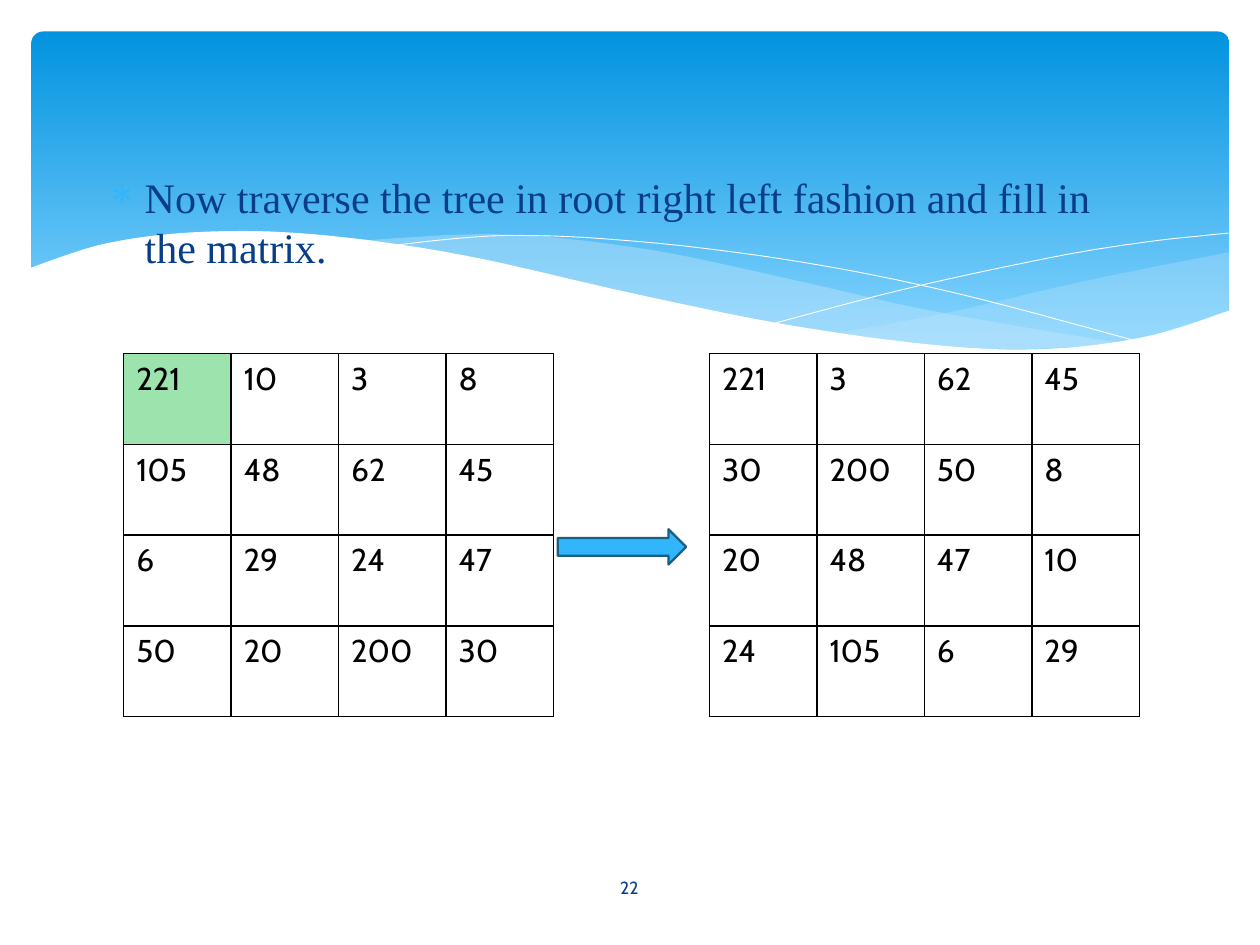
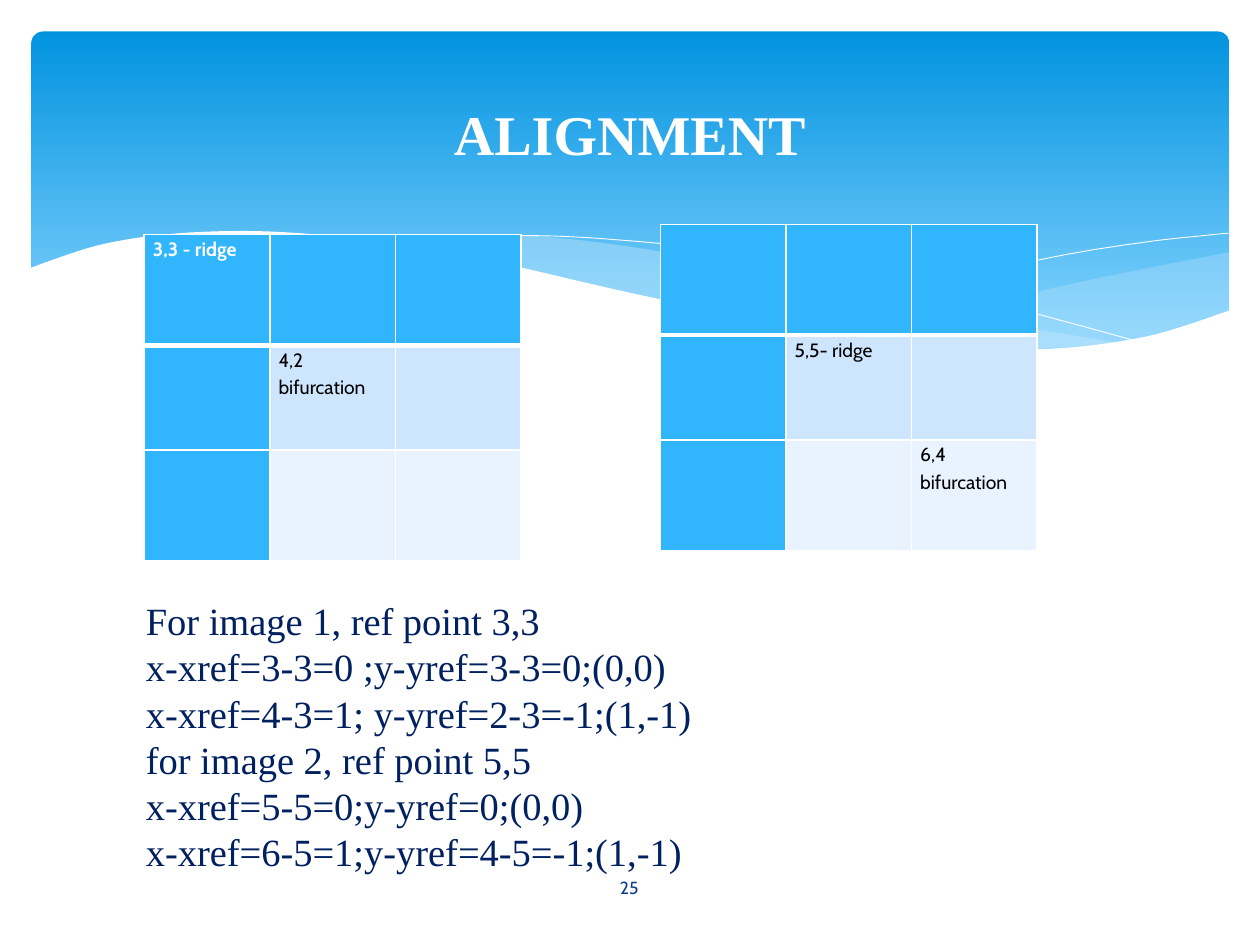
from lxml.etree import SubElement
from pptx import Presentation
from pptx.dml.color import RGBColor
from pptx.enum.shapes import MSO_SHAPE as Shape
from pptx.enum.text import MSO_ANCHOR as Anchor, PP_ALIGN as Align
from pptx.oxml import parse_xml
from pptx.oxml.ns import nsdecls, qn
from pptx.util import Pt

colour = RGBColor.from_string
WHITE, BLACK, SKY, NAVY, PALE = "FFFFFF", "000000", "31B6FD", "073E87", "C6E7FC"
SERIF, SANS = "Times New Roman", "Cabin"

# Waves: smooth strokes through key points (hundredths of an inch), fill, opacity
WAVE_UNIT = Pt(0.72)
STEPS = 8
WAVES = [
    ([[(976, 200), (861, 223), (753, 248), (661, 265)],
      [(661, 265), (745, 275), (835, 277), (913, 267), (976, 247)]], PALE, 29),
    ([[(286, 191), (404, 211), (530, 240), (665, 266), (785, 277), (893, 273)],
      [(893, 273), (741, 247), (629, 222), (514, 198), (399, 186), (286, 191)]],
     PALE, 40),
    ([[(309, 195), (401, 187), (510, 192), (636, 208), (760, 233), (907, 272)]],
     None, None),
    ([[(613, 257), (720, 229), (836, 204), (910, 192), (975, 185)]], None, None),
    ([[(23, 213), (85, 193), (161, 184), (250, 186), (365, 202), (503, 233),
       (626, 258), (744, 274), (830, 277), (910, 267), (977, 246)],
      [(977, 329), (23, 329)]], WHITE, 100),
]


def add_text(page, frame, lines, size, font, hue, align=Align.LEFT,
             anchor=Anchor.TOP, bold=False):
    box = page.shapes.add_textbox(*map(Pt, frame)).text_frame
    box.word_wrap = True
    box.vertical_anchor = anchor
    for index, line in enumerate(lines):
        para = box.add_paragraph() if index else box.paragraphs[0]
        para.text = line
        para.alignment = align
        para.font.size, para.font.name, para.font.bold = Pt(size), font, bold
        para.font.color.rgb = colour(hue)
    return box


def add_grid(page, left, top, column_width, row_heights, texts, size, fill_of,
             border, header_rule=1, margins=(7.2, 3.6), spacing=1.0):
    columns = len(texts[0])
    grid = page.shapes.add_table(
        len(texts), columns, Pt(left), Pt(top),
        Pt(column_width * columns), Pt(sum(row_heights))).table
    grid.first_row = grid.horz_banding = False
    for column in grid.columns:
        column.width = Pt(column_width)
    for r, row in enumerate(texts):
        grid.rows[r].height = Pt(row_heights[r])
        for c, text in enumerate(row):
            cell = grid.cell(r, c)
            cell.margin_left = cell.margin_right = Pt(margins[0])
            cell.margin_top = cell.margin_bottom = Pt(margins[1])
            cell.fill.solid()
            cell.fill.fore_color.rgb = colour(fill_of(r, c))
            para = cell.text_frame.paragraphs[0]
            para.text = text
            para.line_spacing = spacing
            para.font.size, para.font.name = Pt(size), SANS
            is_header = header_rule > 1 and r == 0
            para.font.bold = is_header
            para.font.color.rgb = colour(WHITE if is_header else BLACK)
            # Cell borders come before the fill
            for place, side in enumerate("LRTB"):
                under_header = (r, side) in ((0, "B"), (1, "T"))
                width = Pt(header_rule if under_header else 1)
                cell._tc.get_or_add_tcPr().insert(place, parse_xml(
                    f'<a:ln{side} {nsdecls("a")} w="{width}"><a:solidFill>'
                    f'<a:srgbClr val="{border}"/></a:solidFill></a:ln{side}>'))


deck = Presentation()
deck.slide_width, deck.slide_height = Pt(720), Pt(540)

# Shared band, waves and page number
pages = []
for number in ("22", "25"):
    page = deck.slides.add_slide(deck.slide_layouts[6])
    pages.append(page)
    band = page.shapes.add_shape(
        Shape.ROUNDED_RECTANGLE, Pt(18), Pt(18), Pt(684.5), Pt(194.4))
    band.adjustments[0] = 0.034
    band.shadow.inherit = False
    band.line.fill.background()
    band.fill.gradient()
    band.fill.gradient_angle = 270
    for stop, (position, hue) in zip(band.fill.gradient_stops,
                                     ((0, "0293E0"), (0.9, "83D3FE"))):
        stop.position, stop.color.rgb = position, colour(hue)

    for strokes, hue, opacity in WAVES:
        # Catmull-Rom interpolation between the key points
        outline = []
        for keys in strokes:
            padded = [keys[0], *keys, keys[-1]]
            for quad in zip(padded, padded[1:], padded[2:], padded[3:]):
                for step in range(STEPS):
                    t = step / STEPS
                    outline.append([
                        b + t / 2 * (c - a + t * (2 * a - 5 * b + 4 * c - d
                                     + t * (3 * (b - c) + d - a)))
                        for a, b, c, d in zip(*quad)])
            outline.append(keys[-1])
        # Tenths of a unit keep the curves smooth
        outline = [(round(x * 10), round(y * 10)) for x, y in outline]
        builder = page.shapes.build_freeform(*outline[0], scale=WAVE_UNIT / 10)
        builder.add_line_segments(outline[1:], close=hue is not None)
        wave = builder.convert_to_shape()
        wave.shadow.inherit = False
        if hue:
            wave.line.fill.background()
            wave.fill.solid()
            wave.fill.fore_color.rgb = colour(hue)
            tint = next(wave._element.spPr.iter(qn("a:srgbClr")))
            SubElement(tint, qn("a:alpha"), val=str(opacity * 1000))
        else:
            wave.fill.background()
            wave.line.color.rgb = colour(WHITE)
            wave.line.width = Pt(0.5)

    add_text(page, (313.9, 492.5, 91.4, 28.8), [number], 10, SANS, NAVY,
             Align.CENTER, Anchor.MIDDLE)

traversal, alignment = pages

# Traversal: instruction with bullet
box = add_text(
    traversal, (54, 94.3, 598.3, 388),
    ["Now traverse the tree in root right left fashion and fill in the matrix."],
    24, SERIF, NAVY)
para = box.paragraphs[0]
para.space_before = Pt(4.8)
properties = para._p.get_or_add_pPr()
properties.set("marL", str(Pt(21.6)))
properties.set("indent", str(Pt(-21.6)))
bullet_parts = (f'<a:buClr {nsdecls("a")}><a:srgbClr val="{SKY}"/></a:buClr>',
                f'<a:buChar {nsdecls("a")} char="∗"/>')
for part in bullet_parts:
    properties.find(qn("a:defRPr")).addprevious(parse_xml(part))

# Traversal: matrix before and after
before = ["221 10 3 8", "105 48 62 45", "6 29 24 47", "50 20 200 30"]
after = ["221 3 62 45", "30 200 50 8", "20 48 47 10", "24 105 6 29"]
for left, matrix, root_fill in ((70.7, before, "9DE3AE"), (405.4, after, WHITE)):
    add_grid(traversal, left, 202.1, 61.4, [51.85] * 4,
             [row.split() for row in matrix], 18,
             lambda r, c: root_fill if r == c == 0 else WHITE, BLACK)

arrow = traversal.shapes.add_shape(
    Shape.RIGHT_ARROW, Pt(318.7), Pt(302.4), Pt(73.4), Pt(20.2))
arrow.shadow.inherit = False
arrow.fill.solid()
arrow.fill.fore_color.rgb = colour(SKY)
arrow.line.color.rgb = colour("195F84")
arrow.line.width = Pt(1.25)

# Alignment: title
add_text(alignment, (36, 26.6, 648, 98.6), ["ALIGNMENT"], 32, SERIF, WHITE,
         Align.CENTER, Anchor.MIDDLE, bold=True)

# Alignment: minutiae grids of the two images
image_1 = [["3,3 - ridge", "", ""], ["", "4,2 bifurcation", ""], ["", "", ""]]
image_2 = [["", "", ""], ["", "5,5- ridge", ""], ["", "", "6,4 bifurcation"]]
row_fills = [SKY, "CEE5FE", "E8F3FF"]
for left, top, minutiae in ((82.4, 134, image_1), (377.3, 128.2, image_2)):
    add_grid(alignment, left, top, 71.8, [63.3, 59.8, 63.3], minutiae, 11,
             lambda r, c: row_fills[r] if c else SKY, WHITE,
             header_rule=3, margins=(5, 0), spacing=1.15)

# Alignment: offsets from the reference points
add_text(alignment, (76.3, 337.7, 360, 167), [
    "For image 1, ref point 3,3",
    "x-xref=3-3=0 ;y-yref=3-3=0;(0,0)",
    "x-xref=4-3=1; y-yref=2-3=-1;(1,-1)",
    "for image 2, ref point 5,5",
    "x-xref=5-5=0;y-yref=0;(0,0)",
    "x-xref=6-5=1;y-yref=4-5=-1;(1,-1)",
], 22, SERIF, "002060")

deck.save("out.pptx")
